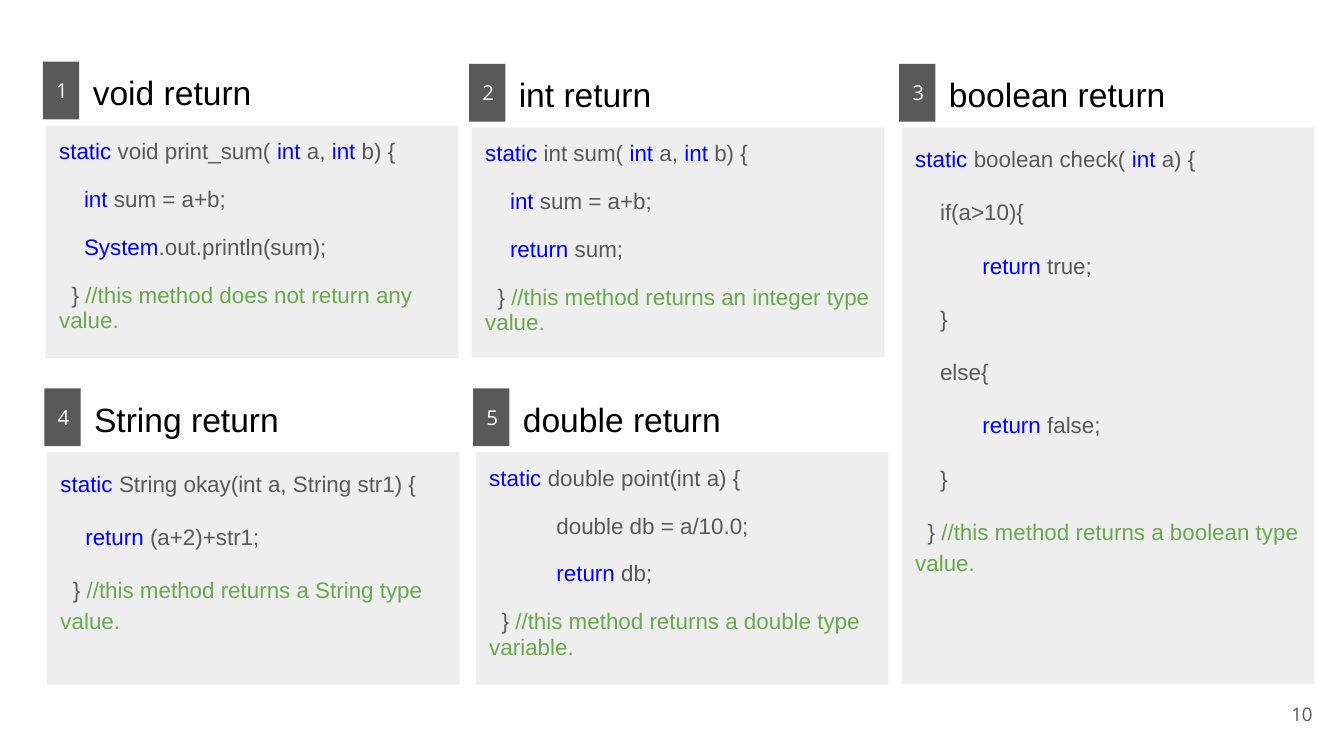
from lxml.etree import SubElement
from pptx import Presentation
from pptx.dml.color import RGBColor
from pptx.enum.shapes import MSO_SHAPE as Shape
from pptx.enum.text import MSO_ANCHOR as Anchor, MSO_AUTO_SIZE as AutoSize, PP_ALIGN as Align
from pptx.oxml.ns import qn
from pptx.util import Pt

PX = 4572
COLORS = {
    "panel": "EEEEEE",
    "code": "595959",
    "keyword": "0000FF",
    "comment": "6AA84F",
    "title": "000000",
    "badge": "595959",
    "badge_text": "FFFFFF",
}
PANEL_WIDTH = 614
INSET = 20
TAB_STOP = 200

PANELS = [
    ("void return", 68, 187, 346, 0.95, [
        "|static |void print_sum( |int |a, |int |b) {",
        "    |int |sum = a+b;",
        "    |System|.out.println(sum);",
        "  } //this method does not return any value.",
    ]),
    ("int return", 702, 190, 342, 0.95, [
        "|static |int sum( |int |a, |int |b) {",
        "    |int |sum = a+b;",
        "    |return |sum;",
        "  } //this method returns an integer type value.",
    ]),
    ("boolean return", 1342, 190, 828, 1.15, [
        "|static |boolean check( |int |a) {",
        "    if(a>10){",
        "|return |true;",
        "    }",
        "    else{",
        "\t|return |false;",
        "    }",
        "  } //this method returns a boolean type value.",
    ]),
    ("String return", 70, 673, 346, 1.15, [
        "|static |String okay(int a, String str1) {",
        "    |return |(a+2)+str1;",
        "  } //this method returns a String type value.",
    ]),
    ("double return", 708, 673, 346, 0.95, [
        "|static |double point(int a) {",
        "    \tdouble db = a/10.0;",
        "|return |db;",
        "  } //this method returns a double type variable.",
    ]),
]


def rgb(name):
    return RGBColor.from_string(COLORS[name])


def place(shape, left, top, width, height):
    shape.left, shape.top = left * PX, top * PX
    shape.width, shape.height = width * PX, height * PX


def set_frame(shape, anchor):
    frame = shape.text_frame
    frame.word_wrap = True
    frame.auto_size = AutoSize.NONE
    frame.vertical_anchor = anchor
    frame.margin_left = frame.margin_right = INSET * PX
    frame.margin_top = frame.margin_bottom = INSET * PX
    return frame


def set_font(run, family, size, color):
    run.font.name = family
    run.font.size = Pt(size)
    run.font.color.rgb = rgb(color)


def write_label(shape, text, anchor, align, family, size, color):
    frame = set_frame(shape, anchor)
    frame.text = text
    paragraph = frame.paragraphs[0]
    paragraph.alignment = align
    set_font(paragraph.runs[0], family, size, color)


def add_code_run(paragraph, text, color):
    if text:
        run = paragraph.add_run()
        run.text = text
        set_font(run, "Arial", 12, color)


def write_code_line(paragraph, line):
    properties = paragraph._p.get_or_add_pPr()
    properties.set("marL", "0")
    properties.set("indent", str(100 * PX if line.startswith("|return") else 0))
    SubElement(properties, qn("a:buNone"))
    if "\t" in line:
        tabs = SubElement(properties, qn("a:tabLst"))
        SubElement(tabs, qn("a:tab"), pos=str(TAB_STOP * PX), algn="l")
    code, slashes, comment = line.partition("//")
    for index, piece in enumerate(code.split("|")):
        add_code_run(paragraph, piece, "keyword" if index % 2 else "code")
    add_code_run(paragraph, slashes + comment, "comment")


def write_code(body, lines, spacing):
    body.fill.solid()
    body.fill.fore_color.rgb = rgb("panel")
    frame = set_frame(body, Anchor.TOP)
    for index, line in enumerate(lines):
        paragraph = frame.add_paragraph() if index else frame.paragraphs[0]
        write_code_line(paragraph, line)
        paragraph.line_spacing = spacing
        paragraph.space_before = Pt(12 if index else 0)
        paragraph.space_after = Pt(12 if index == len(lines) - 1 else 0)


def add_badge(slide, number, left, top):
    badge = slide.shapes.add_shape(Shape.RECTANGLE, 0, 0, 0, 0)
    place(badge, left, top, 54, 86)
    badge.shadow.inherit = False
    badge.fill.solid()
    badge.fill.fore_color.rgb = rgb("badge")
    badge.line.fill.background()
    write_label(badge, str(number), Anchor.MIDDLE, Align.CENTER, "Open Sans", 11, "badge_text")


def add_panel(slide, number, name, left, top, height, spacing, lines):
    if number > 1:
        for index in (0, 1):
            slide.shapes.clone_placeholder(slide.slide_layout.placeholders[index])
    title, body = slide.shapes[-2], slide.shapes[-1]
    place(title, left + 50, top - 98, 564, 98)
    write_label(title, name, Anchor.BOTTOM, Align.LEFT, "Arial", 18, "title")
    place(body, left, top, PANEL_WIDTH, height)
    write_code(body, lines, spacing)
    add_badge(slide, number, left - 4, top - 95)


def add_page_number(slide):
    box = slide.shapes.add_textbox(0, 0, 0, 0)
    place(box, 1853, 1020, 120, 86)
    write_label(box, "10", Anchor.MIDDLE, Align.RIGHT, "Open Sans", 10, "code")


def main():
    presentation = Presentation()
    presentation.slide_width = 2000 * PX
    presentation.slide_height = 1125 * PX
    slide = presentation.slides.add_slide(presentation.slide_layouts[1])
    for number, panel in enumerate(PANELS, 1):
        add_panel(slide, number, *panel)
    add_page_number(slide)
    presentation.save("out.pptx")


if __name__ == "__main__":
    main()
